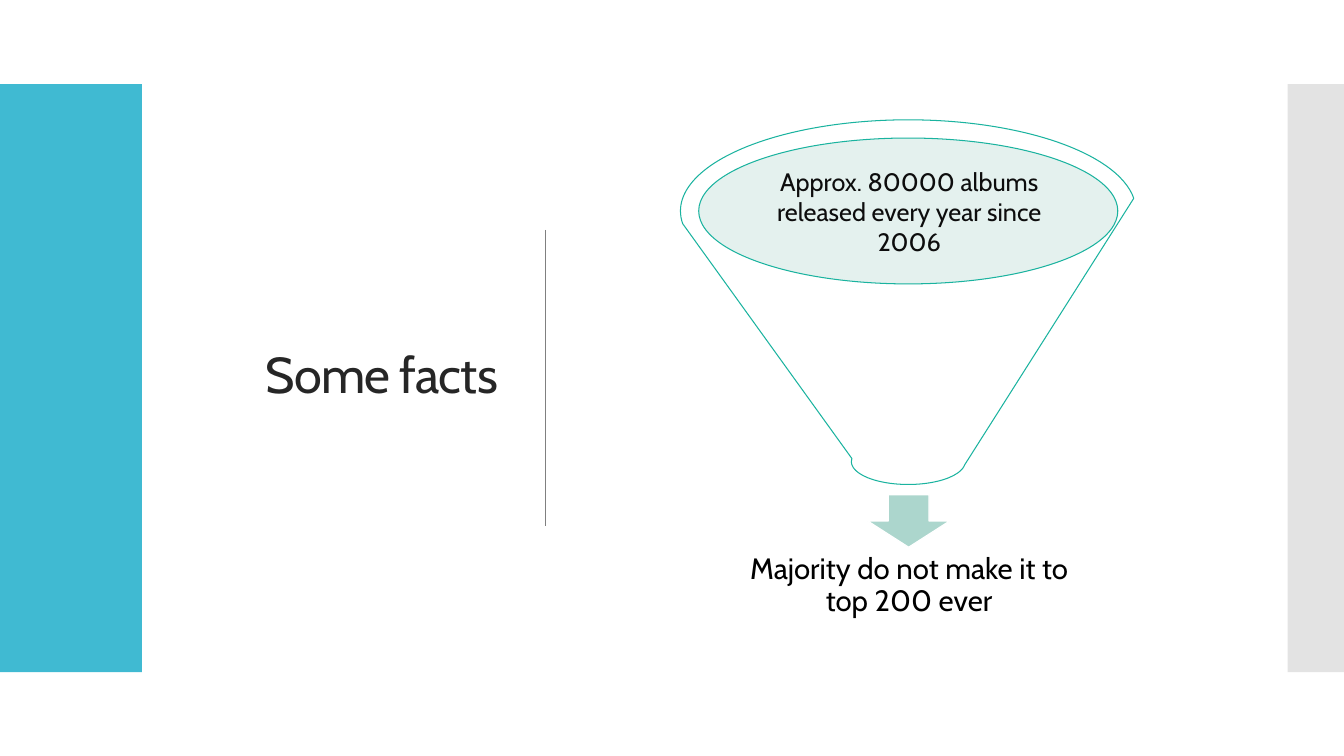
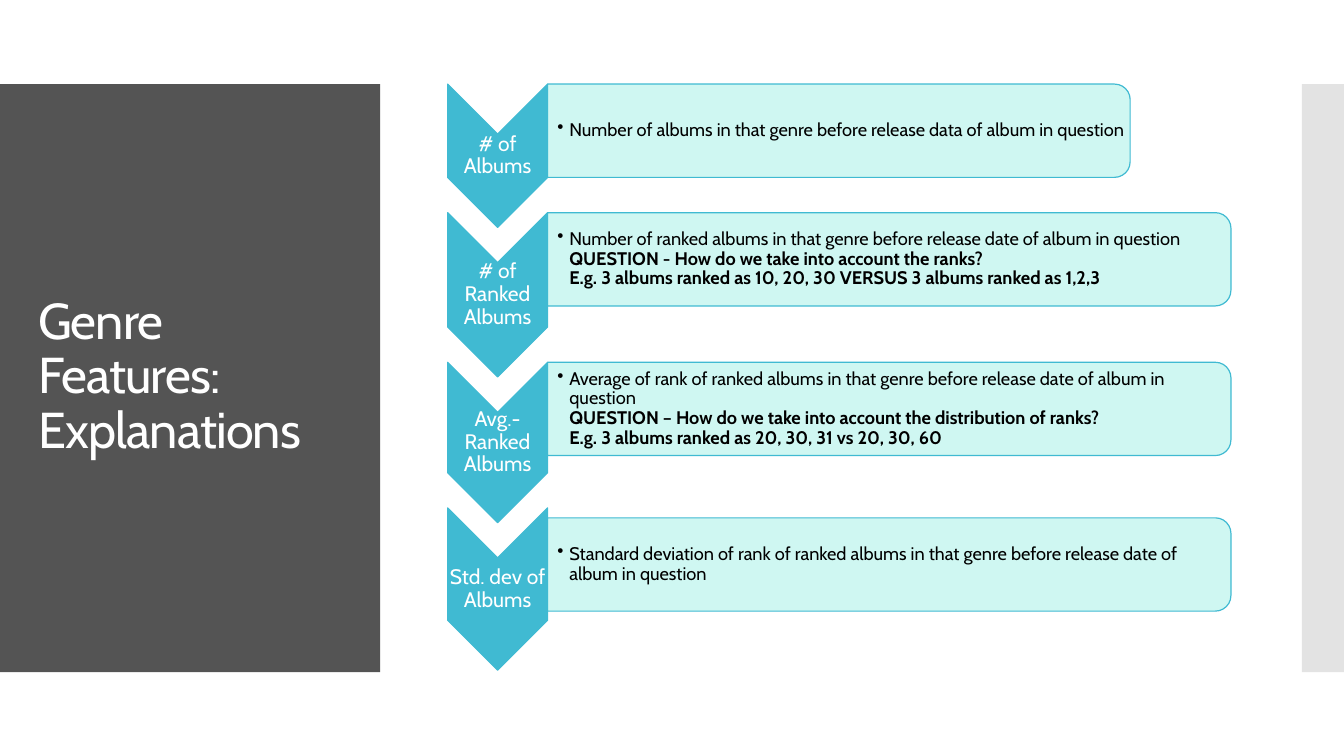
from lxml.etree import SubElement
from pptx import Presentation
from pptx.dml.color import RGBColor
from pptx.enum.shapes import MSO_CONNECTOR, MSO_SHAPE
from pptx.enum.text import MSO_ANCHOR, PP_ALIGN
from pptx.oxml.ns import qn
from pptx.util import Cm, Pt

COLORS = {
    "blue": "40BAD2",
    "slate": "545454",
    "band": "C8C8C8",
    "rule": "808080",
    "ink": "262626",
    "label": "0D0D0D",
    "black": "000000",
    "white": "FFFFFF",
    "green": "1AB39F",
    "sage": "BDDDD6",
    "arrow": "ACD6CD",
    "mint": "CAF7F1",
}
FONT = "Cabin"
SLIDE_W, SLIDE_H = 33.87, 19.05
BAND_TOP, BAND_H = 2.12, 14.82
BOX_INSETS = (0.25, 0.13, 0.25, 0.13)
TIGHT = (0.02,) * 4


def rgb(name):
    return RGBColor.from_string(COLORS[name])


class Deck:
    """Holds the presentation, its style and the current slide; lengths are in cm."""

    def __init__(self):
        self.prs = Presentation()
        self.prs.slide_width, self.prs.slide_height = Cm(SLIDE_W), Cm(SLIDE_H)
        self.s = None

    def new_slide(self, left_color, left_width, right_width):
        """Adds a slide with a band at each side."""
        self.s = self.prs.slides.add_slide(self.prs.slide_layouts[6])
        self.shape(MSO_SHAPE.RECTANGLE, 0, BAND_TOP, left_width, BAND_H, left_color)
        self.shape(MSO_SHAPE.RECTANGLE, SLIDE_W - right_width, BAND_TOP,
                   right_width, BAND_H, "band", alpha=50)

    def shape(self, kind, x, y, w, h, fill, alpha=100, line=None, weight=0.85, turned=False):
        """Draws a shape in the given visible box; turned rotates it by 90 degrees."""
        if turned:
            x, y, w, h = x + (w - h) / 2, y + (h - w) / 2, h, w
        sp = self.s.shapes.add_shape(kind, Cm(x), Cm(y), Cm(w), Cm(h))
        sp.rotation = 90 if turned else 0
        sp.shadow.inherit = False
        sp.fill.solid()
        sp.fill.fore_color.rgb = rgb(fill)
        if alpha < 100:
            color = sp._element.spPr.find(qn("a:solidFill"))[0]
            SubElement(color, qn("a:alpha"), val=str(alpha * 1000))
        if line:
            sp.line.color.rgb = rgb(line)
            sp.line.width = Pt(weight)
        else:
            sp.line.fill.background()
        return sp

    def rule(self, x, top, bottom):
        line = self.s.shapes.add_connector(MSO_CONNECTOR.STRAIGHT, Cm(x), Cm(top), Cm(x), Cm(bottom))
        line.line.color.rgb = rgb("rule")
        line.line.width = Pt(1)
        SubElement(line._element.spPr, qn("a:effectLst"))

    def text(self, text, x, y, w, h, size, color, align=PP_ALIGN.CENTER,
             anchor=MSO_ANCHOR.MIDDLE, insets=BOX_INSETS, spacing=0.9):
        tf = self.s.shapes.add_textbox(Cm(x), Cm(y), Cm(w), Cm(h)).text_frame
        tf.word_wrap = True
        tf.vertical_anchor = anchor
        tf.margin_left, tf.margin_top, tf.margin_right, tf.margin_bottom = map(Cm, insets)
        p = tf.paragraphs[0]
        p.text = text
        p.alignment = align
        p.line_spacing = spacing
        for r in p.runs:
            r.font.name = FONT
            r.font.size = Pt(size)
            r.font.color.rgb = rgb(color)
        return p

    def title(self, text, x, y, w, h, color, align):
        p = self.text(text, x, y, w, h, 36, color, align)
        for r in p.runs:
            r.font._element.set("spc", "-60")

    def bullet(self, lines, x, y, w, h):
        """Writes one bulleted paragraph whose lines after the first are bold."""
        size = 13
        p = self.text("\v".join(lines), x, y, w, h, size, "black", PP_ALIGN.LEFT,
                      insets=(0.25, 0.02, 0.02, 0.02))
        pPr = p._p.get_or_add_pPr()
        pPr.set("marL", str(Cm(0.3)))
        pPr.set("indent", str(-Cm(0.3)))
        SubElement(pPr, qn("a:buChar"), char="•")
        for br in p._p.findall(qn("a:br")):
            SubElement(br, qn("a:rPr"), sz=str(size * 100))
        for r in p.runs[1:]:
            r.font.bold = True

    def feature(self, label, lines, top, length, panel_w, panel_shift):
        """Draws a downward chevron with its label and the panel that explains it."""
        x, w, panel_x, panel_h = 11.28, 2.52, 13.8, 2.35
        self.shape(MSO_SHAPE.CHEVRON, x, top, w, length, "blue", line="blue", turned=True)
        self.text(label, x, top + w / 2, w, length - w, 15, "white", insets=TIGHT)
        y = top + panel_shift
        self.shape(MSO_SHAPE.ROUND_2_SAME_RECTANGLE, panel_x, y, panel_w, panel_h,
                   "mint", alpha=90, line="blue", turned=True)
        self.bullet(lines, panel_x, y + 0.12, panel_w - 0.12, panel_h - 0.24)


def facts_slide(deck):
    deck.new_slide("blue", 3.58, 1.42)
    deck.rule(13.74, 5.79, 13.26)
    deck.title("Some facts", 4.27, 2.39, 8.53, 14.22, "ink", PP_ALIGN.RIGHT)
    deck.shape(MSO_SHAPE.OVAL, 17.6, 3.48, 10.59, 3.68, "sage", alpha=40)
    deck.shape(MSO_SHAPE.DOWN_ARROW, 21.87, 12.47, 2.06, 1.32, "arrow", line="white")
    deck.text("Majority do not make it to top 200 ever", 17.98, 13.54, 9.86, 2.46,
              21, "black", insets=(0.41,) * 4)
    deck.shape(MSO_SHAPE.FUNNEL, 17.15, 3.02, 11.48, 9.19, "white", alpha=40,
               line="green", weight=0.75)
    deck.text("Approx. 80000 albums released every year since 2006", 19.13, 4.06, 7.57, 2.57,
              18, "label", anchor=MSO_ANCHOR.TOP, spacing=1.0)


def genre_slide(deck):
    deck.new_slide("slate", 9.58, 1.06)
    deck.title("Genre Features: Explanations", 0.71, 3.12, 8.18, 12.78, "white", PP_ALIGN.LEFT)
    features = [
        ("# of Albums", 3.61, 14.68, 0,
         ["Number of albums in that genre before release data of album in question"]),
        ("# of Ranked Albums", 4.14, 17.22, 0,
         ["Number of ranked albums in that genre before release date of album in question",
          "QUESTION - How do we take into account the ranks?",
          "E.g. 3 albums ranked as 10, 20, 30 VERSUS 3 albums ranked as 1,2,3"]),
        ("Avg.-Ranked Albums", 4.04, 17.22, 0,
         ["Average of rank of ranked albums in that genre before release date of album in question",
          "QUESTION – How do we take into account the distribution of ranks?",
          "E.g. 3 albums ranked as 20, 30, 31 vs 20, 30, 60"]),
        ("Std. dev of Albums", 4.09, 17.22, 0.25,
         ["Standard deviation of rank of ranked albums in that genre before release date of "
          "album in question"]),
    ]
    top, overlap = BAND_TOP, 0.37
    for label, length, panel_w, panel_shift, lines in features:
        deck.feature(label, lines, top, length, panel_w, panel_shift)
        top += length - overlap


def main():
    deck = Deck()
    facts_slide(deck)
    genre_slide(deck)
    deck.prs.save("out.pptx")


if __name__ == "__main__":
    main()
